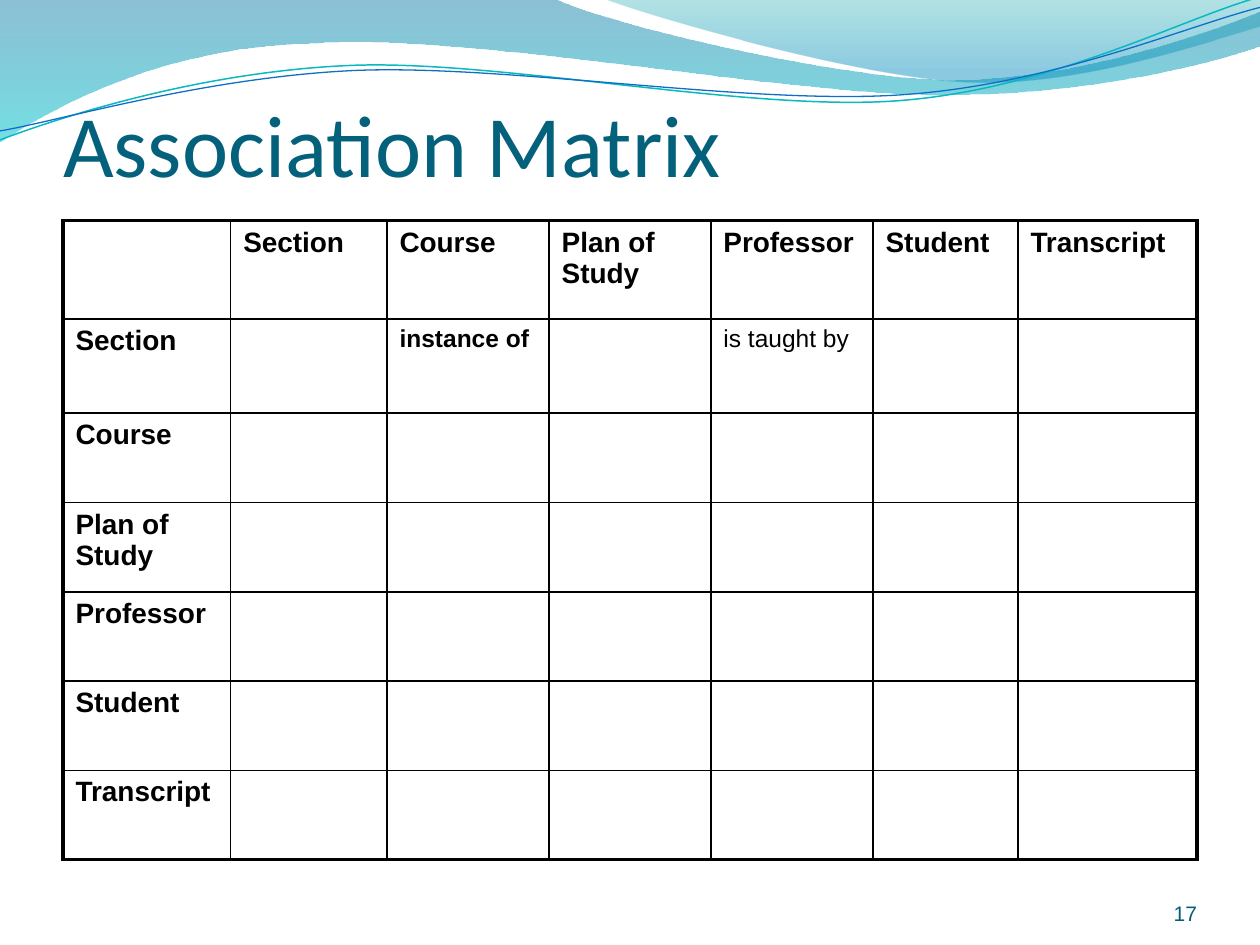
"""Build the association matrix slide with its wave header."""
import math

from lxml import etree
from pptx import Presentation
from pptx.dml.color import RGBColor
from pptx.enum import text
from pptx.oxml.ns import qn
from pptx.util import Cm, Pt

TEAL = RGBColor(0x04, 0x61, 0x7B)
DEEP = RGBColor(0x04, 0x5D, 0x75)
BLACK = RGBColor(0, 0, 0)
TILT = 2.7


def draw(start, parts, close):
    """Draw an outline whose parts are line ends or cubic curves."""
    ends = [(Cm(x), Cm(y)) for part in parts for x, y in zip(part[::2], part[1::2])]
    form = slide.shapes.build_freeform(Cm(start[0]), Cm(start[1]), scale=1.0)
    form.add_line_segments(ends, close=close)
    shape = form.convert_to_shape()
    shape.shadow.inherit = False
    steps = iter(list(shape._element.iter(qn("a:lnTo"))))
    for part in parts:
        first = next(steps)
        if len(part) == 6:
            curve = etree.Element(qn("a:cubicBezTo"))
            first.addprevious(curve)
            for step in (first, next(steps), next(steps)):
                curve.append(step[0])
                step.getparent().remove(step)
    return shape


def style(para, size, color, name, bold=False):
    """Format every run of a paragraph."""
    for run in para.runs:
        font = run.font
        font.size, font.name, font.bold = Pt(size), name, bold
        font.color.rgb = color


prs = Presentation()
prs.slide_width, prs.slide_height = Cm(25.4), Cm(19.05)
slide = prs.slides.add_slide(prs.slide_layouts[5])

waves = [
    ((0, 0),
     [(11.18, -0.03), (12.09, 0.43, 16.87, 1.6, 19.25, 1.6),
      (21.67, 1.6, 24.33, 0.66, 25.4, 0.23), (25.43, 0.91),
      (24.97, 1.12, 22.1, 1.93, 18.95, 1.91),
      (15.8, 1.91, 9.7, 0.71, 6.53, 0.86),
      (3.28, 0.91, 1.17, 2.11, -0.03, 2.87), (0, 0)],
     [(0, RGBColor(0x00, 0x74, 0xA1), 45), (1, RGBColor(0x00, 0xC6, 0xCF), 55)]),
    ((12.17, -0.03),
     [(12.93, 0.28, 17.32, 1.57, 19.53, 1.65),
      (21.74, 1.75, 24.41, 0.81, 25.4, 0.53), (25.4, 0), (12.17, -0.03)],
     [(0, RGBColor(0x00, 0xA1, 0xA9), 30), (0.8, RGBColor(0x00, 0x8B, 0xBF), 45)]),
]
for start, parts, stops in waves:
    wave = draw(start, parts, True)
    wave.line.fill.background()
    wave.fill.gradient()
    wave.fill.gradient_angle = 270
    for stop, (pos, color, _) in zip(wave.fill.gradient_stops, stops):
        stop.position, stop.color.rgb = pos, color
    tints = wave._element.spPr.iter(qn("a:srgbClr"))
    for tint, (_, _, alpha) in zip(tints, stops):
        etree.SubElement(tint, qn("a:alpha"), val=str(alpha * 1000))

lines = [
    ([(0, 2.82), (1.22, 2.36), (4.01, 1.45), (7.04, 1.32), (10.03, 1.19),
      (15.06, 2.26), (18.11, 2.03), (21.16, 1.8), (23.83, 0.38), (25.35, -0.05)],
     (12.67, 1.46), RGBColor(0x0A, 0xB8, 0xBF), 0.85),
    ([(0, 2.64), (1.19, 2.44), (4.17, 1.55), (7.19, 1.42), (10.24, 1.3),
      (15.16, 2.13), (18.21, 1.91), (21.23, 1.7), (23.9, 0.53), (25.4, 0.15)],
     (12.69, 1.5), RGBColor(0x0F, 0x6F, 0xC6), 0.75),
]
cos, sin = math.cos(math.radians(TILT)), math.sin(math.radians(TILT))
for pts, (mx, my), color, width in lines:
    flat = [(mx + (x - mx) * cos - (y - my) * sin,
             my + (x - mx) * sin + (y - my) * cos) for x, y in pts]
    parts = [sum(flat[i:i + 3], ()) for i in range(1, len(flat), 3)]
    line = draw(flat[0], parts, False)
    line.rotation = 360 - TILT
    line.fill.background()
    line.line.color.rgb, line.line.width = color, Pt(width)

title = slide.shapes.title
slide.shapes._spTree.append(title._element)
title.left, title.top, title.width, title.height = Cm(1.27), Cm(0.76), Cm(22.86), Cm(3.18)
frame = title.text_frame
frame.text = "Association Matrix"
frame.auto_size = text.MSO_AUTO_SIZE.NONE
frame.vertical_anchor = text.MSO_ANCHOR.BOTTOM
frame.margin_left = frame.margin_right = frame.margin_bottom = 0
frame.margin_top = Cm(0.13)
frame.paragraphs[0].alignment = text.PP_ALIGN.LEFT
style(frame.paragraphs[0], 50, TEAL, "Calibri")

names = ["Section", "Course", "Plan of Study", "Professor", "Student", "Transcript"]
links = {(1, 2): ("instance of", True), (1, 4): ("is taught by", False)}
cols = [3.38, 3.15, 3.27, 3.26, 3.27, 2.92, 3.61]
rows = [1.98, 1.9] + [1.8] * 5
last = len(names)
table = slide.shapes.add_table(len(rows), len(cols), Cm(1.27), Cm(4.45),
                               Cm(sum(cols)), Cm(sum(rows))).table
table.first_row = table.horz_banding = False
for col, width in zip(table.columns, cols):
    col.width = Cm(width)
for row, height in zip(table.rows, rows):
    row.height = Cm(height)

for r in range(len(rows)):
    for c in range(len(cols)):
        cell = table.cell(r, c)
        props = cell._tc.get_or_add_tcPr()
        outer = {"L": c == 0, "R": c == last, "T": r == 0, "B": r == last}
        for side, edge in outer.items():
            rule = etree.SubElement(props, qn("a:ln" + side),
                                    w=str(Pt(2.25 if edge else 1)))
            fill = etree.SubElement(rule, qn("a:solidFill"))
            etree.SubElement(fill, qn("a:srgbClr"), val=str(BLACK))
        cell.fill.background()
        if (r, c) in links:
            word, bold = links[r, c]
            size = 14
        elif (r == 0) != (c == 0):
            word, bold, size = names[r + c - 1], True, 16
        else:
            continue
        cell.text_frame.text = word
        style(cell.text_frame.paragraphs[0], size, BLACK, "Arial", bold)

box = slide.shapes.add_textbox(Cm(22.02), Cm(17.65), Cm(2.11), Cm(1.02))
frame = box.text_frame
frame.word_wrap = True
frame.vertical_anchor = text.MSO_ANCHOR.BOTTOM
frame.margin_left = frame.margin_right = frame.margin_top = frame.margin_bottom = 0
frame.text = "17"
frame.paragraphs[0].alignment = text.PP_ALIGN.RIGHT
style(frame.paragraphs[0], 12, DEEP, "Arial")

prs.save("out.pptx")
